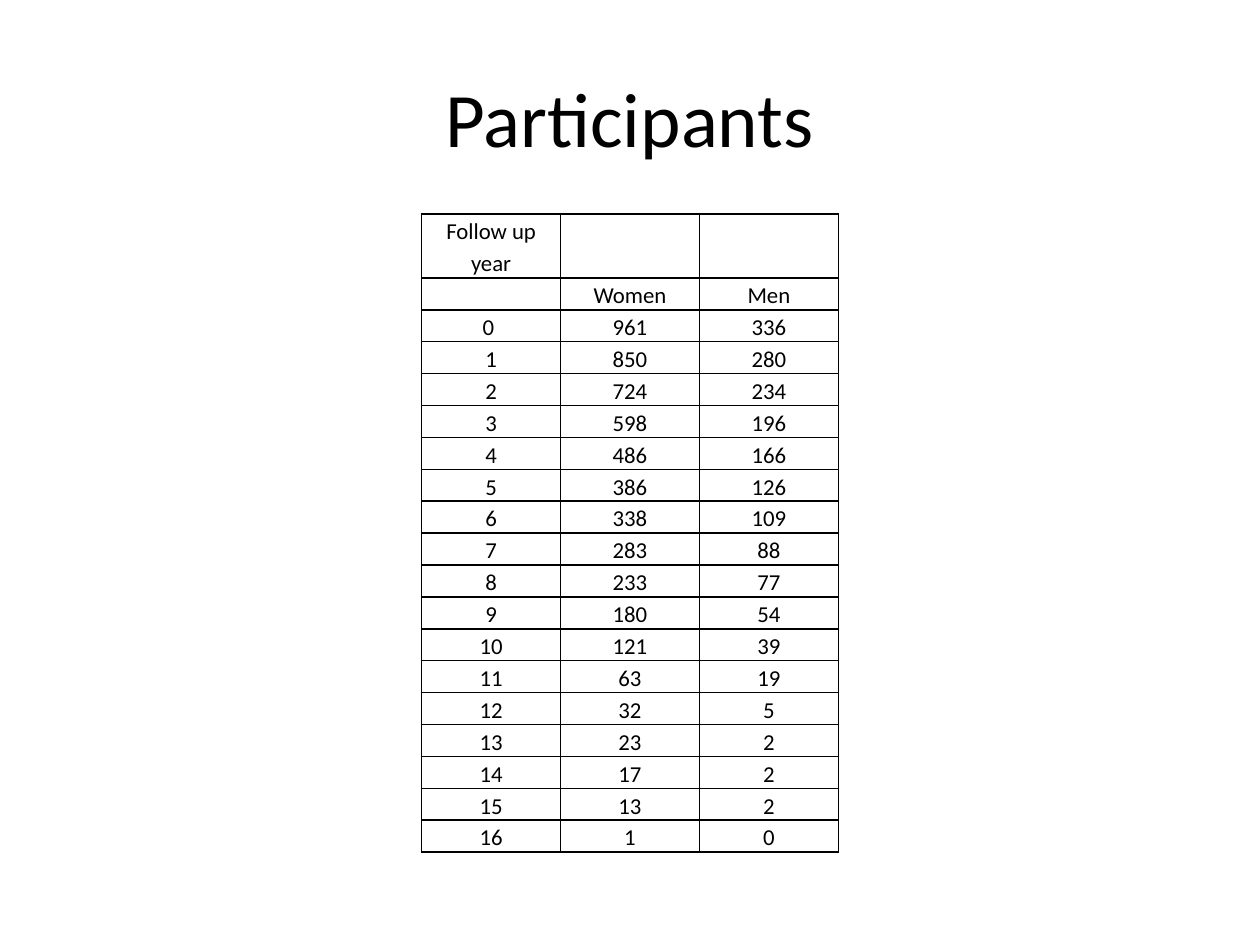
from lxml.etree import SubElement
from pptx import Presentation
from pptx.dml.color import RGBColor
from pptx.enum.text import MSO_ANCHOR, PP_ALIGN
from pptx.oxml import parse_xml
from pptx.oxml.ns import nsdecls, qn
from pptx.util import Pt


def add_text(para, text, size, color):
    run = para.add_run()
    run.text = text
    run.font.name = "Calibri"
    run.font.size = Pt(size)
    run.font.color.rgb = RGBColor.from_string(color)


def add_edges(cell, color, width):
    props = cell._tc.get_or_add_tcPr()
    for i, side in enumerate("LRTB"):
        props.insert(i, parse_xml(
            f'<a:ln{side} {nsdecls("a")} w="{Pt(width)}"><a:solidFill>'
            f'<a:srgbClr val="{color}"/></a:solidFill></a:ln{side}>'))


ink = "000000"
women = [961, 850, 724, 598, 486, 386, 338, 283, 233, 180, 121, 63, 32, 23, 17, 13, 1]
men = [336, 280, 234, 196, 166, 126, 109, 88, 77, 54, 39, 19, 5, 2, 2, 2, 0]
rows = [("Follow up year", "", ""), ("", "Women", "Men")]
for year, pair in enumerate(zip(women, men)):
    rows.append((f"{year}" if year else "0 ", *map(str, pair)))

deck = Presentation()
deck.slide_width, deck.slide_height = Pt(720), Pt(540)
slide = deck.slides.add_slide(deck.slide_layouts[5])

title = slide.shapes.title
title.left, title.top, title.width, title.height = Pt(36), Pt(21.6), Pt(648), Pt(90)
title.text_frame.vertical_anchor = MSO_ANCHOR.MIDDLE
para = title.text_frame.paragraphs[0]
para.alignment = PP_ALIGN.CENTER
add_text(para, "Participants", 44, ink)

col, high = 79.4, 17.28
table = slide.shapes.add_table(
    len(rows), 3, Pt(240.9), Pt(122.4), Pt(3 * col), Pt(len(rows) * high)).table
table.first_row = table.horz_banding = False
for column in table.columns:
    column.width = Pt(col)
for r, values in enumerate(rows):
    table.rows[r].height = Pt(high)
    for c, value in enumerate(values):
        cell = table.cell(r, c)
        cell.fill.background()
        cell.margin_left = cell.margin_right = Pt(6.48)
        cell.margin_top = cell.margin_bottom = Pt(0)
        add_edges(cell, ink, 1)
        para = cell.text_frame.paragraphs[0]
        para.alignment = PP_ALIGN.CENTER
        para.line_spacing = 1.15
        if value:
            add_text(para, value, 13, ink)
        else:
            SubElement(para._p, qn("a:endParaRPr"), sz="1300")

deck.save("out.pptx")
